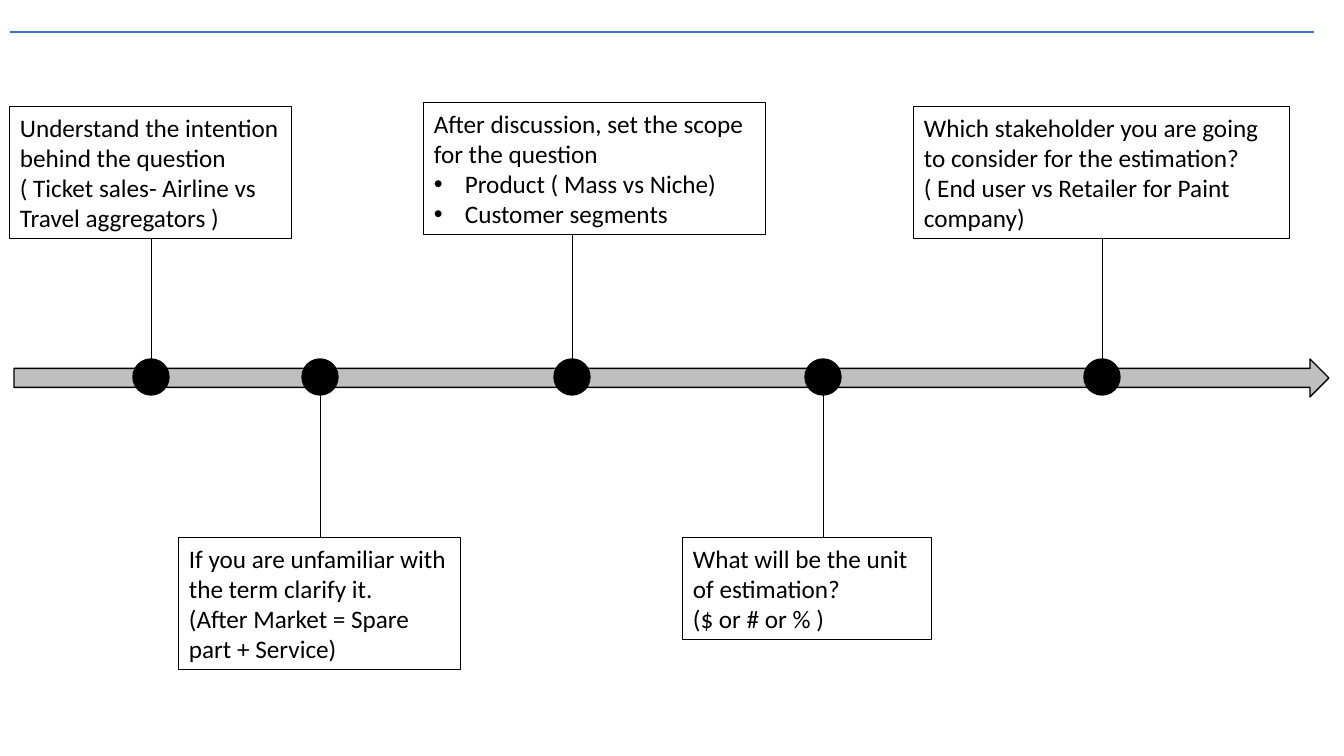
from pptx import Presentation
from pptx.dml.color import RGBColor
from pptx.enum.shapes import MSO_CONNECTOR, MSO_SHAPE
from pptx.enum.text import MSO_ANCHOR, MSO_AUTO_SIZE, PP_ALIGN
from pptx.oxml.ns import qn
from pptx.util import Pt
from lxml.etree import SubElement

PX = 914400 / 100.8
BULLET = "•"
BLACK, GREY, BLUE = "000000", "BFBFBF", "4472C4"
AXIS_Y, DOT = 377, 36

# (dot centre x, box (left, top, width, height), paragraphs)
STEPS = [
    (151, (10, 107, 282, 132), [
        "Understand the intention behind the question",
        "( Ticket sales- Airline vs Travel aggregators )"]),
    (320, (179, 538, 282, 132), [
        "If you are unfamiliar with the term clarify it.",
        "(After Market = Spare part + Service)"]),
    (572, (424, 103, 342, 132), [
        "After discussion, set the scope for the question",
        BULLET + "Product ( Mass vs Niche)",
        BULLET + "Customer segments"]),
    (823, (683, 538, 249, 102), [
        "What will be the unit of estimation?",
        "($ or # or % )"]),
    (1102, (914, 107, 376, 132), [
        "Which stakeholder you are going to consider for the estimation?",
        "( End user vs Retailer for Paint company)"]),
]


def px(length):
    return round(length * PX)


def color(value):
    return RGBColor.from_string(value)


def add_line(slide, start, end, line_color, width):
    points = [px(value) for value in (*start, *end)]
    connector = slide.shapes.add_connector(MSO_CONNECTOR.STRAIGHT, *points)
    connector.line.color.rgb = color(line_color)
    connector.line.width = Pt(width)
    SubElement(connector.element.spPr, qn("a:effectLst"))
    return connector


def add_preset(slide, preset, frame, fill, line_width):
    shape = slide.shapes.add_shape(preset, *[px(value) for value in frame])
    shape.shadow.inherit = False
    if fill:
        shape.fill.solid()
        shape.fill.fore_color.rgb = color(fill)
    else:
        shape.fill.background()
    shape.line.color.rgb = color(BLACK)
    shape.line.width = Pt(line_width)
    return shape


def make_bullet(paragraph):
    properties = paragraph._p.get_or_add_pPr()
    properties.set("marL", str(px(31)))
    properties.set("indent", str(-px(31)))
    SubElement(properties, qn("a:buFont"), typeface="Arial")
    SubElement(properties, qn("a:buChar"), char=BULLET)


def add_text_box(slide, frame, lines):
    box = add_preset(slide, MSO_SHAPE.RECTANGLE, frame, None, 0.75)
    text_frame = box.text_frame
    text_frame.word_wrap = True
    text_frame.auto_size = MSO_AUTO_SIZE.SHAPE_TO_FIT_TEXT
    text_frame.vertical_anchor = MSO_ANCHOR.TOP
    for index, line in enumerate(lines):
        paragraph = text_frame.add_paragraph() if index else text_frame.paragraphs[0]
        paragraph.alignment = PP_ALIGN.LEFT
        if line.startswith(BULLET):
            make_bullet(paragraph)
        run = paragraph.add_run()
        run.text = line.removeprefix(BULLET)
        run.font.name = "Calibri"
        run.font.size = Pt(18)
        run.font.color.rgb = color(BLACK)
    return box


def add_step(slide, center, frame, lines):
    """Add a text box, its stem to the time axis and the dot on the axis."""
    left, top, width, height = frame
    above = top < AXIS_Y
    box = add_text_box(slide, frame, lines)
    edge = top + height if above else top
    stem = add_line(slide, (center, edge), (center, AXIS_Y), BLACK, 0.5)
    if center == left + width / 2:
        stem.begin_connect(box, 2 if above else 0)
    dot_frame = (center - DOT / 2, AXIS_Y - DOT / 2, DOT, DOT)
    add_preset(slide, MSO_SHAPE.OVAL, dot_frame, BLACK, 1)


def main():
    presentation = Presentation()
    presentation.slide_width, presentation.slide_height = px(1344), px(756)
    slide = presentation.slides.add_slide(presentation.slide_layouts[6])
    add_line(slide, (10, 32), (1314, 32), BLUE, 1.5)
    add_preset(slide, MSO_SHAPE.RIGHT_ARROW, (14, 359, 1315, 38), GREY, 1)
    for step in STEPS:
        add_step(slide, *step)
    presentation.save("out.pptx")


if __name__ == "__main__":
    main()
